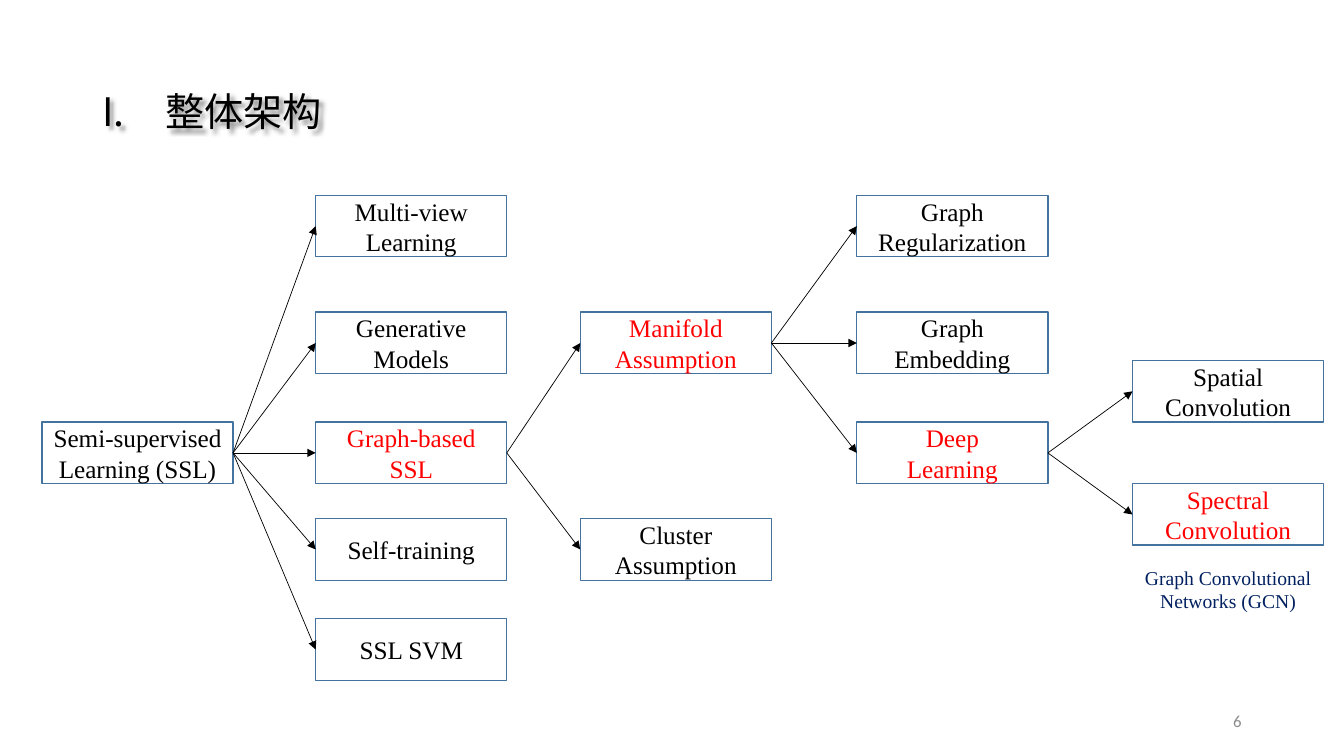
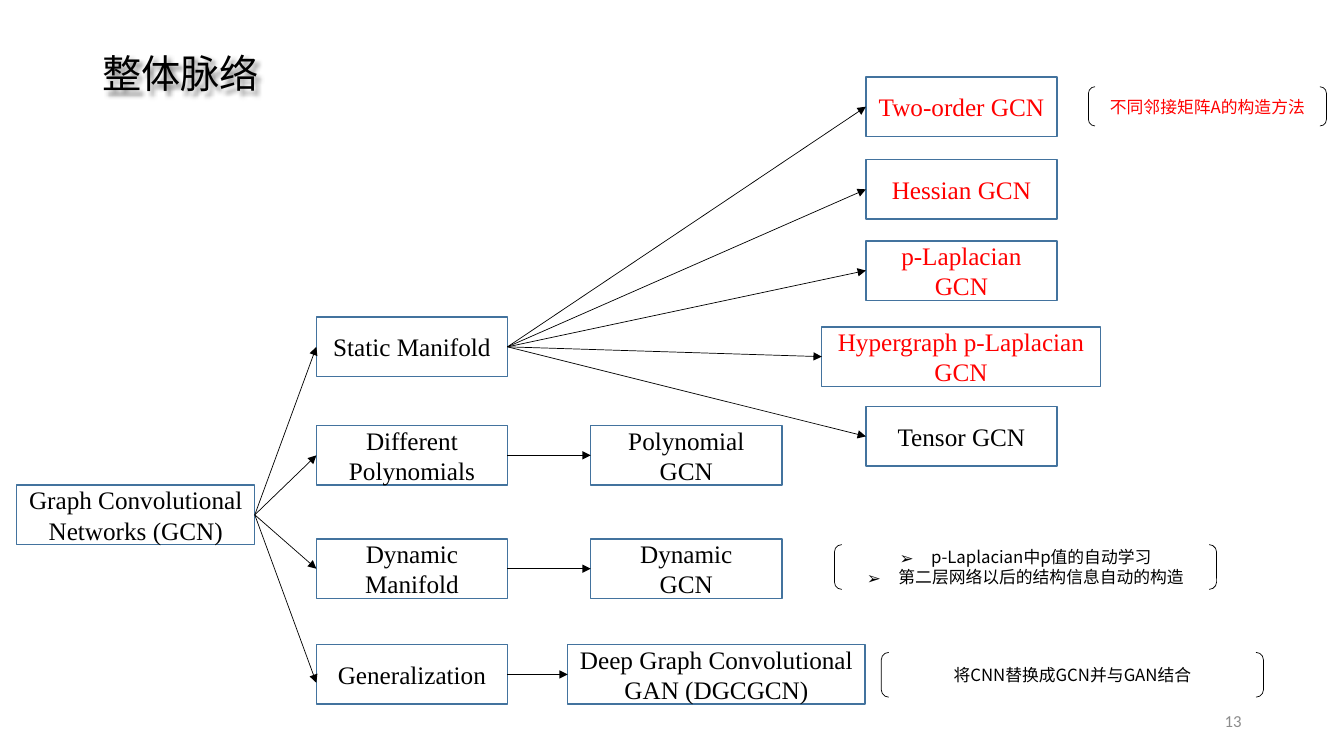
from lxml.etree import SubElement
from pptx import Presentation
from pptx.dml.color import RGBColor
from pptx.enum.shapes import MSO_CONNECTOR, MSO_SHAPE
from pptx.enum.text import MSO_ANCHOR, MSO_AUTO_SIZE, PP_ALIGN
from pptx.oxml.ns import qn
from pptx.util import Pt

INK = {"black": "000000", "red": "FF0000", "navy": "002060",
       "grey": "8C8C8C", "edge": "43739E", "white": "FFFFFF"}
SERIF, HAN = "Times New Roman", "Noto Sans CJK SC"
FRAME = {"word_wrap": True, "auto_size": MSO_AUTO_SIZE.NONE,
         "vertical_anchor": MSO_ANCHOR.MIDDLE}
HEAD = {"alignment": PP_ALIGN.LEFT, "line_spacing": 0.9}
MID = {"alignment": PP_ALIGN.CENTER}
END = {"alignment": PP_ALIGN.RIGHT}


def rgb(ink):
    return RGBColor.from_string(INK[ink])


def format(item, values):
    for name, value in values.items():
        setattr(item, name, value)


def place(box):
    return [Pt(part) for part in box]


def mark(para, kind, indent, **values):
    props = para._p.get_or_add_pPr()
    props.set("marL", str(Pt(indent)))
    props.set("indent", str(-Pt(indent)))
    SubElement(props, qn("a:buFont"), typeface=HAN)
    SubElement(props, qn(kind), **values)


def write(frame, text, size, face, ink, layout, bullet=None):
    format(frame, FRAME)
    for spot, line in enumerate(text.split("\n")):
        para = frame.add_paragraph() if spot else frame.paragraphs[0]
        if bullet:
            mark(para, **bullet)
        format(para, layout)
        run = para.add_run()
        run.text = line
        format(run.font, {"size": Pt(size), "name": face})
        run.font.color.rgb = rgb(ink)
        SubElement(run._r.get_or_add_rPr(), qn("a:ea"), typeface=HAN)


def label(slide, box, text, size, face, ink, layout):
    shape = slide.shapes.add_textbox(*place(box))
    write(shape.text_frame, text, size, face, ink, layout)
    return shape


def page(deck, text, top, number, bullet=None):
    slide = deck.slides.add_slide(deck.slide_layouts[5])
    title = slide.shapes.title
    format(title, dict(zip(("left", "top", "width", "height"),
                           place((66, top, 828, 104.4)))))
    write(title.text_frame, text, 28, "Arial", "black", HEAD, bullet)
    effects = SubElement(title.element.spPr, qn("a:effectLst"))
    shade = SubElement(effects, qn("a:outerShdw"), blurRad="38100",
                       dist="38100", dir="2700000", algn="tl")
    tone = SubElement(shade, qn("a:srgbClr"), val=INK["black"])
    SubElement(tone, qn("a:alpha"), val="43000")
    label(slide, (678, 500.5, 216, 28.75), number, 12, "Calibri", "grey", END)
    return slide


def node(slide, box, text, ink):
    shape = slide.shapes.add_shape(MSO_SHAPE.RECTANGLE, *place(box))
    shape.shadow.inherit = False
    shape.fill.solid()
    shape.fill.fore_color.rgb = rgb("white")
    shape.line.color.rgb = rgb("edge")
    shape.line.width = Pt(1)
    write(shape.text_frame, text, 18, SERIF, ink, MID)
    return shape


def arrow(slide, start, stop, drop=0):
    line = slide.shapes.add_connector(
        MSO_CONNECTOR.STRAIGHT,
        start.left + start.width, start.top + start.height // 2,
        stop.left, stop.top + stop.height // 2 + Pt(drop))
    line.begin_connect(start, 3)
    if not drop:
        line.end_connect(stop, 1)
    line.line.color.rgb = rgb("black")
    line.line.width = Pt(0.5)
    SubElement(line.line._get_or_add_ln(), qn("a:tailEnd"), type="triangle")
    SubElement(line._element.spPr, qn("a:effectLst"))


def tree(slide, origin, height, nodes, links):
    left, top = origin
    shapes = {
        key: node(slide, (left + x, top + y, width, height), text, ink)
        for key, (x, y, width, text, ink) in nodes.items()}
    for start, stops in links.items():
        for stop, drop in stops.items():
            arrow(slide, shapes[start], shapes[stop], drop)


def note(slide, box, text, ink="black", bullet=None):
    shape = slide.shapes.add_shape(MSO_SHAPE.DOUBLE_BRACKET, *place(box))
    shape.shadow.inherit = False
    shape.fill.background()
    shape.line.color.rgb = rgb("black")
    shape.line.width = Pt(0.5)
    write(shape.text_frame, text, 12, HAN, ink, MID, bullet)


def frame(deck):
    slide = page(deck, "整体架构", 28.8, "6",
                 {"kind": "a:buAutoNum", "indent": 45, "type": "romanUcPeriod"})
    wide = 136.5
    one, two, three, four = 195.5, 384.5, 582, 779
    rows = 0, 83.5, 162, 231, 302.5
    nodes = {
        "root": (0, rows[2], wide, "Semi-supervised Learning (SSL)", "black"),
        "graph": (one, rows[2], wide, "Graph-based\nSSL", "red"),
        "view": (one, rows[0], wide, "Multi-view Learning", "black"),
        "model": (one, rows[1], wide, "Generative Models", "black"),
        "self": (one, rows[3], wide, "Self-training", "black"),
        "svm": (one, rows[4], wide, "SSL SVM", "black"),
        "cluster": (two, rows[3], wide, "Cluster Assumption", "black"),
        "fold": (two, rows[1], wide, "Manifold Assumption", "red"),
        "rule": (three, rows[0], wide, "Graph Regularization", "black"),
        "embed": (three, rows[1], wide, "Graph Embedding", "black"),
        "deep": (three, rows[2], wide, "Deep\nLearning", "red"),
        "space": (four, rows[2] - 44, wide, "Spatial Convolution", "black"),
        "spectral": (four, rows[2] + 44, wide, "Spectral\nConvolution", "red"),
    }
    links = {
        "root": dict.fromkeys(("view", "model", "graph", "self", "svm"), 0),
        "graph": dict.fromkeys(("fold", "cluster"), 0),
        "fold": dict.fromkeys(("embed", "rule", "deep"), 0),
        "deep": dict.fromkeys(("space", "spectral"), 0),
    }
    tree(slide, (30, 139.5), 44, nodes, links)
    tag = label(slide, (807, 400.5, 140.5, 41), "Graph Convolutional Networks (GCN)",
                14, SERIF, "navy", MID)
    tag.text_frame.vertical_anchor = MSO_ANCHOR.TOP


def thread(deck):
    slide = page(deck, "整体脉络", 2.2, "13")
    wide = 136.5
    one, two, three = 214, 410, 606.5
    tops = 171.5, 249, 330, 405.5
    nodes = {
        "root": (0, 291.5, 170, "Graph Convolutional Networks (GCN)", "black"),
        "static": (one, tops[0], wide, "Static Manifold", "black"),
        "poly": (one, tops[1], wide, "Different\nPolynomials", "black"),
        "fold": (one, tops[2], wide, "Dynamic\nManifold", "black"),
        "general": (one, tops[3], wide, "Generalization", "black"),
        "polynet": (two, tops[1], wide, "Polynomial\nGCN", "black"),
        "foldnet": (two, tops[2], wide, "Dynamic\nGCN", "black"),
        "deep": (393.5, tops[3], 212.5,
                 "Deep Graph Convolutional GAN (DGCGCN)", "black"),
        "order": (three, 0, wide, "Two-order GCN", "red"),
        "hess": (three, 59, wide, "Hessian GCN", "red"),
        "place": (three, 117, wide, "p-Laplacian GCN", "red"),
        "hyper": (575, 178.5, 199, "Hypergraph p-Laplacian\nGCN", "red"),
        "tensor": (three, 235.5, wide, "Tensor GCN", "black"),
    }
    links = {
        "root": {"static": 0, "poly": 0, "fold": 0, "general": 6},
        "static": dict.fromkeys(("order", "hess", "place", "hyper", "tensor"), 0),
        "poly": {"polynet": 0},
        "fold": {"foldnet": 0},
        "general": {"deep": 0},
    }
    tree(slide, (12, 55), 42.5, nodes, links)
    note(slide, (777.5, 62, 170, 28), "不同邻接矩阵A的构造方法", "red")
    note(slide, (596, 389, 273, 32),
         "p-Laplacian中p值的自动学习\n第二层网络以后的结构信息自动的构造",
         bullet={"kind": "a:buChar", "indent": 22.5, "char": "➢"})
    note(slide, (629.5, 466, 273, 32), "将CNN替换成GCN并与GAN结合")


def main():
    deck = Presentation()
    format(deck, {"slide_width": Pt(960), "slide_height": Pt(540)})
    frame(deck)
    thread(deck)
    deck.save("out.pptx")


if __name__ == "__main__":
    main()
